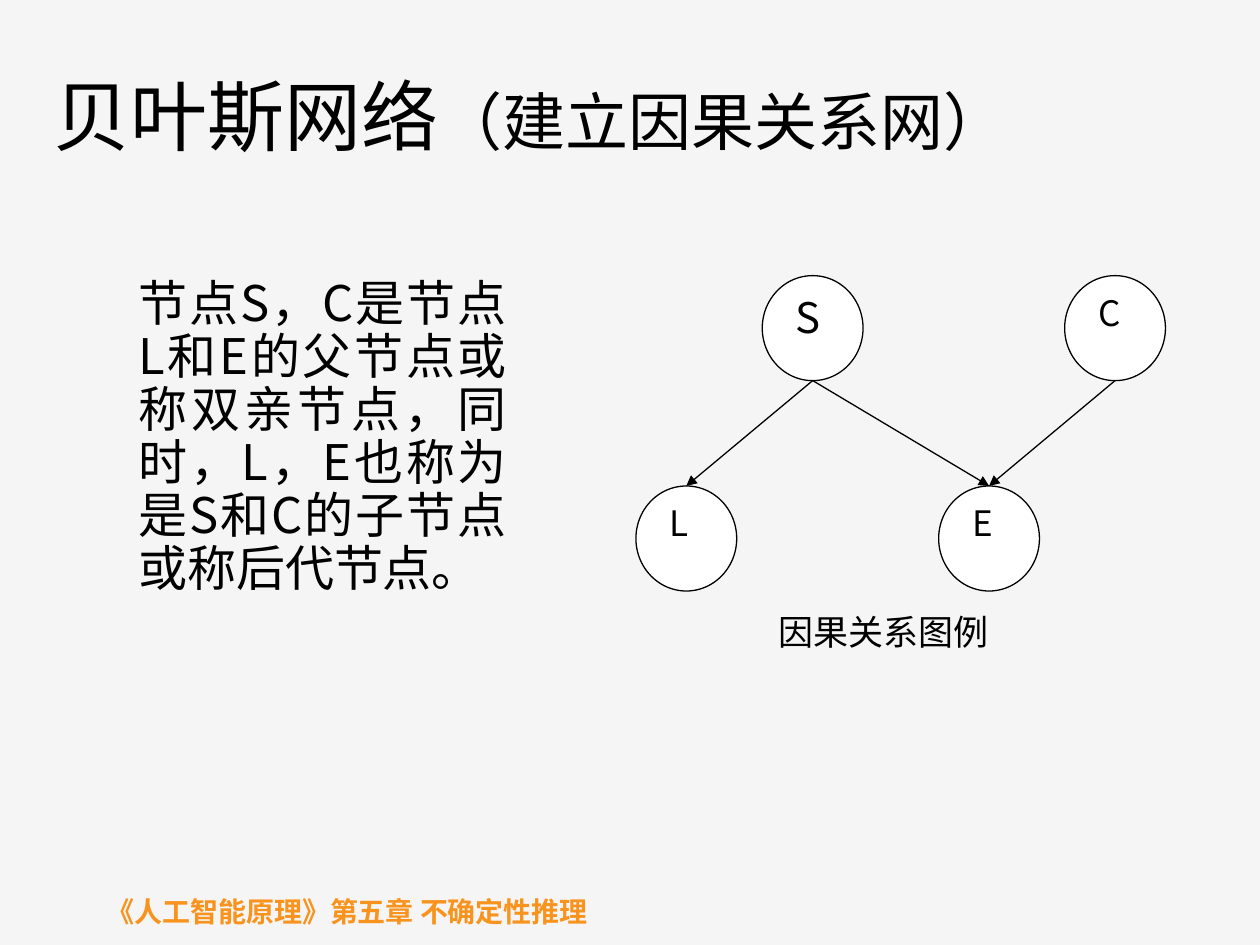
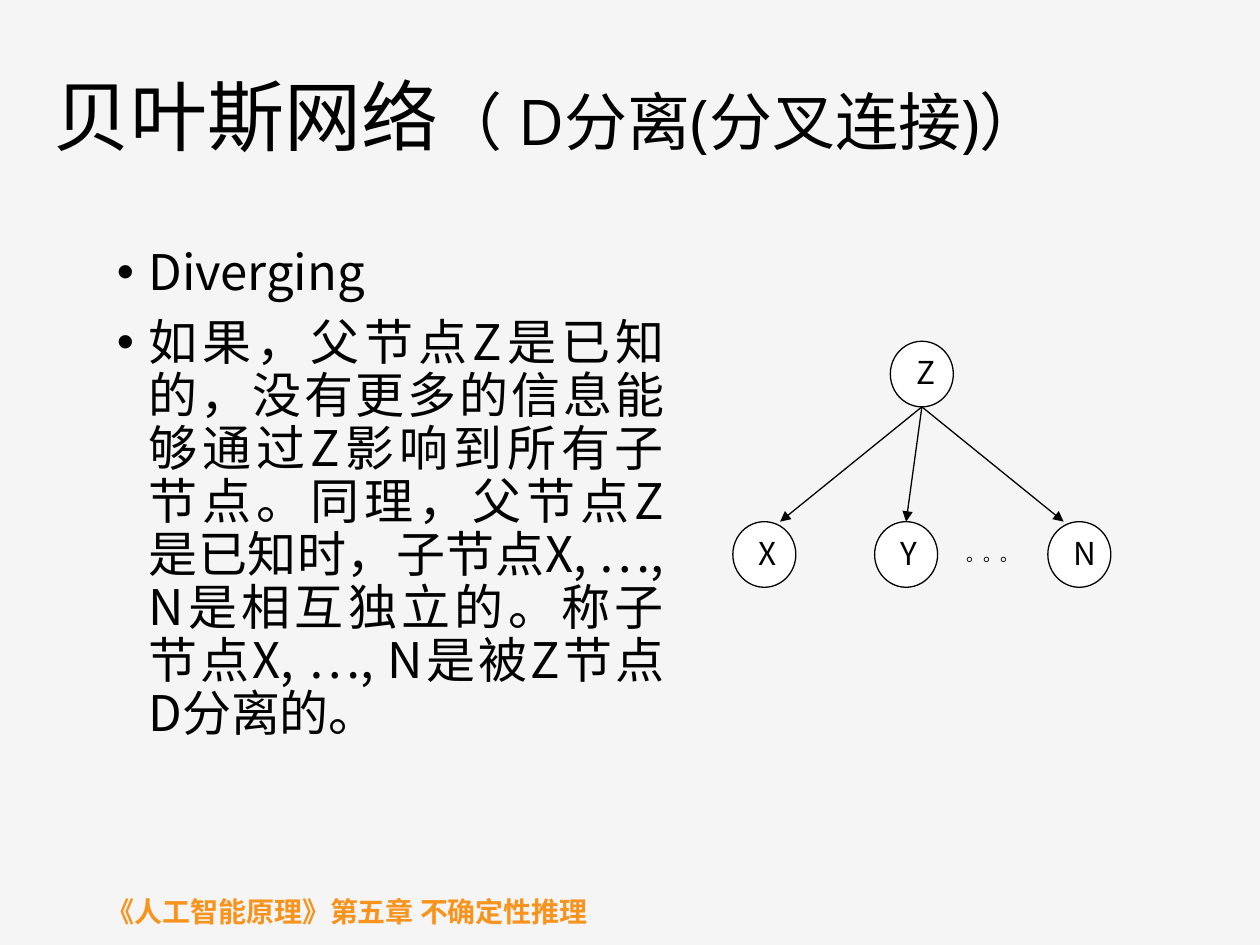
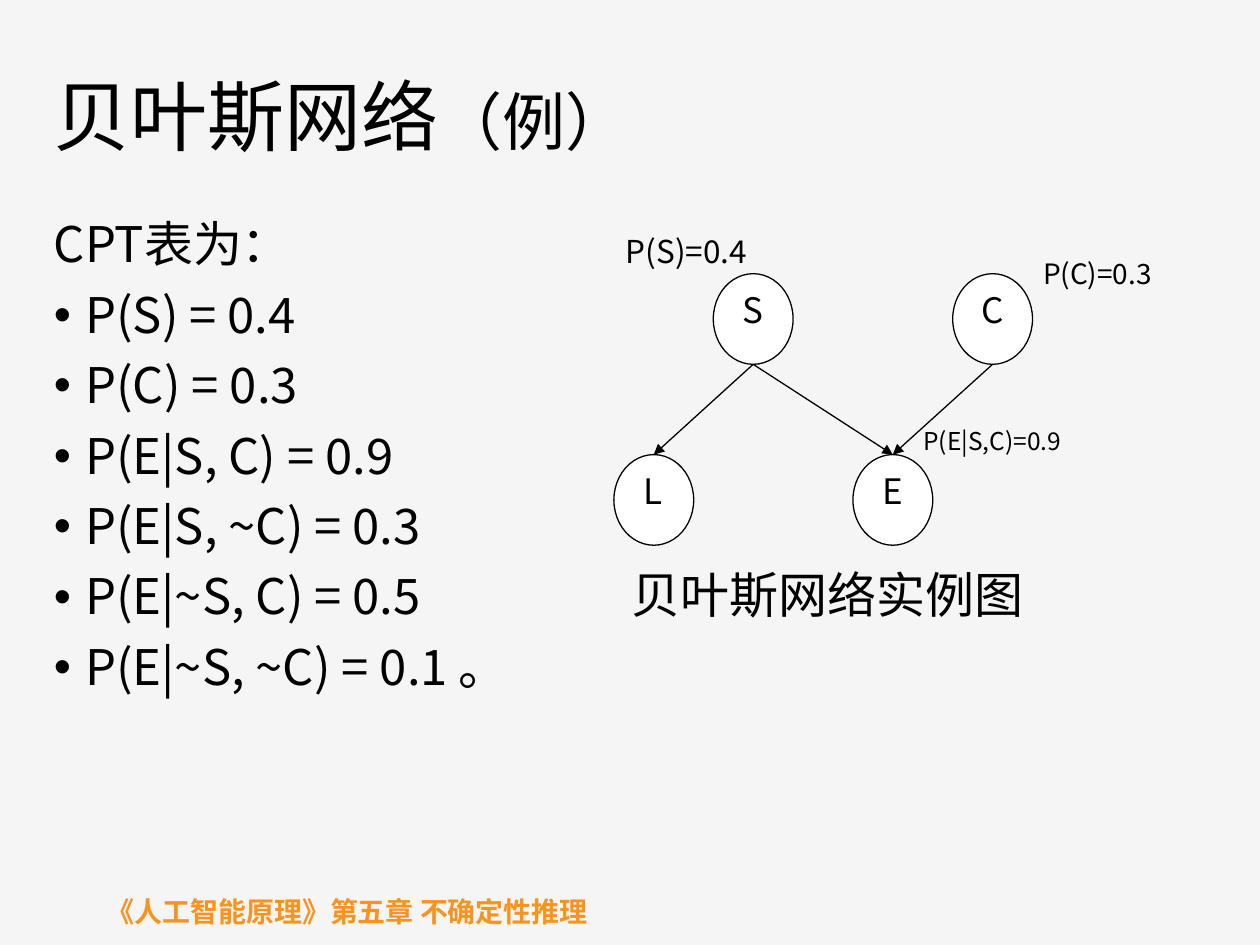
from dataclasses import dataclass
from itertools import groupby

from lxml.etree import SubElement
from pptx import Presentation
from pptx.dml.color import RGBColor
from pptx.enum.shapes import MSO_CONNECTOR, MSO_SHAPE
from pptx.enum.text import MSO_ANCHOR, PP_ALIGN
from pptx.oxml.ns import qn
from pptx.util import Pt


@dataclass(frozen=True)
class Theme:
    """Colours, fonts and type sizes shared by all slides."""
    paper: RGBColor = RGBColor(0xF5, 0xF5, 0xF5)
    ink: RGBColor = RGBColor(0, 0, 0)
    node: RGBColor = RGBColor(0xFF, 0xFF, 0xFF)
    accent: RGBColor = RGBColor(0xF8, 0x93, 0x1D)
    heading: str = "Open Sans"
    chinese: str = "Noto Sans CJK SC"
    latin: str = "Noto Sans CJK JP"
    topic_size: int = 44
    subtopic_size: int = 36
    body_size: int = 28
    large_size: int = 24
    medium_size: int = 20
    label_size: int = 18
    small_size: int = 16
    tiny_size: int = 14
    dots_size: int = 10
    stroke: float = 0.75


class Lecture:
    """Builds slides of one lecture in a shared style."""

    TOPIC = "贝叶斯网络"
    CHAPTER = "《人工智能原理》第五章 不确定性推理"

    def __init__(self, theme):
        """Open an empty 4:3 presentation."""
        self.theme = theme
        self.deck = Presentation()
        self.deck.slide_width, self.deck.slide_height = Pt(720), Pt(540)
        backdrop = self.deck.slide_master.background.fill
        backdrop.solid()
        backdrop.fore_color.rgb = theme.paper
        self.slide = None

    def start(self, subtopic):
        """Add a slide with its footer and title."""
        theme = self.theme
        self.slide = self.deck.slides.add_slide(self.deck.slide_layouts[6])
        footer = self.frame(54, 491.8, 420, 36)
        footer.margin_top, footer.margin_bottom = Pt(20), 0
        self.run(footer.paragraphs[0], self.CHAPTER, theme.small_size,
                 theme.latin, theme.accent, True)
        title = self.frame(23.76, 36, 684, 66.24)
        title.vertical_anchor = MSO_ANCHOR.MIDDLE
        heading = title.paragraphs[0]
        heading.line_spacing = 0.9
        self.run(heading, self.TOPIC, theme.topic_size, theme.heading)
        self.run(heading, subtopic, theme.subtopic_size, theme.heading)

    def frame(self, left, top, width, height):
        """Add a wrapping text box and return its text frame."""
        box = self.slide.shapes.add_textbox(Pt(left), Pt(top), Pt(width), Pt(height))
        box.text_frame.word_wrap = True
        return box.text_frame

    def run(self, paragraph, text, size, face, color=None, bold=False):
        """Add one run in the given style."""
        run = paragraph.add_run()
        run.text = text
        font = run.font
        font.size, font.name, font.bold = Pt(size), face, bold
        font.color.rgb = color or self.theme.ink
        SubElement(run._r.get_or_add_rPr(), qn("a:ea"), typeface=face)

    def body(self, left, top, width, height, items, indent=-18):
        """Add body paragraphs given as (text, bulleted, font or None)."""
        frame = self.frame(left, top, width, height)
        for index, (text, bulleted, face) in enumerate(items):
            paragraph = frame.add_paragraph() if index else frame.paragraphs[0]
            paragraph.alignment = PP_ALIGN.JUSTIFY
            paragraph.line_spacing = 0.9
            paragraph.space_before = Pt(10)
            properties = paragraph._p.get_or_add_pPr()
            properties.set("marL", str(Pt(18)))
            properties.set("indent", str(Pt(indent)))
            if bulleted:
                SubElement(properties, qn("a:buFont"), typeface="Arial")
                SubElement(properties, qn("a:buChar"), char="•")
            scripts = [(face, text)] if face else [
                (self.theme.latin if is_latin else self.theme.chinese, "".join(part))
                for is_latin, part in groupby(text, str.isascii)]
            for script_face, part in scripts:
                self.run(paragraph, part, self.theme.body_size, script_face)

    def label(self, text, left, top, width, height, size):
        """Add a short label of a diagram."""
        paragraph = self.frame(left, top, width, height).paragraphs[0]
        paragraph.alignment = PP_ALIGN.JUSTIFY
        self.run(paragraph, text, size, self.theme.chinese)

    def node(self, letter, left, top, width, height, size):
        """Add a lettered network node and return its ellipse."""
        ellipse = self.slide.shapes.add_shape(
            MSO_SHAPE.OVAL, Pt(left), Pt(top), Pt(width), Pt(height))
        ellipse.shadow.inherit = False
        ellipse.fill.solid()
        ellipse.fill.fore_color.rgb = self.theme.node
        ellipse.line.color.rgb = self.theme.ink
        ellipse.line.width = Pt(self.theme.stroke)
        self.label(letter, left + 0.21 * width, top + 0.09 * height,
                   0.75 * width, 0.75 * height, size)
        return ellipse

    def arrow(self, parent, child, shift=0):
        """Point from a parent's bottom to a child's top, shifted sideways."""
        link = self.slide.shapes.add_connector(
            MSO_CONNECTOR.STRAIGHT,
            parent.left + parent.width // 2, parent.top + parent.height,
            child.left + child.width // 2 + Pt(shift), child.top)
        if not shift:
            link.end_connect(child, 0)
        link.line.color.rgb = self.theme.ink
        link.line.width = Pt(self.theme.stroke)
        properties = link._element.spPr
        SubElement(properties.find(qn("a:ln")), qn("a:tailEnd"), type="triangle")
        SubElement(properties, qn("a:effectLst"))

    def causal_network(self, places, width, height, sizes):
        """Draw the S, C, E, L network from its node corners."""
        nodes = {letter: self.node(letter, *corner, width, height,
                                   sizes.get(letter, self.theme.medium_size))
                 for letter, corner in places.items()}
        for parent, child in ("SL", "SE", "CE"):
            self.arrow(nodes[parent], nodes[child])


def causal_slide(lecture):
    """Show parents and children in a causal network."""
    theme = lecture.theme
    lecture.start("（建立因果关系网）")
    lecture.body(54, 156.24, 242.64, 182.88, [
        ("节点S，C是节点L和E的父节点或称双亲节点，同时，L，E也称为是S和C的子节点或称后代节点。",
         False, None)], indent=0)
    lecture.causal_network(
        {"S": (435.6, 157.5), "C": (608.4, 157.5),
         "E": (536.4, 277.7), "L": (363.4, 277.7)},
        57.6, 60, {"S": theme.large_size})
    lecture.label("因果关系图例", 437.76, 345.6, 174.24, 31, theme.medium_size)


def diverging_slide(lecture):
    """Show D-separation in a diverging connection."""
    theme = lecture.theme
    lecture.start("（ D分离(分叉连接)）")
    lecture.body(59.76, 138.24, 326.88, 324, [
        ("Diverging", True, theme.chinese),
        ("如果，父节点Z是已知的，没有更多的信息能够通过Z影响到所有子节点。"
         "同理，父节点Z是已知时，子节点X, …, N是相互独立的。"
         "称子节点X, …, N是被Z节点D分离的。", True, None)])
    width, height = 36, 37.5
    parent = lecture.node("Z", 508.8, 195, width, height, theme.label_size)
    for letter, left, shift in (("X", 418.8, 9), ("Y", 499.8, 0), ("N", 598.8, -9)):
        child = lecture.node(letter, left, 298.1, width, height, theme.label_size)
        lecture.arrow(parent, child, shift)
    lecture.label("。。。", 545, 307.44, 44.64, 37.44, theme.dots_size)


def example_slide(lecture):
    """Show a network with its conditional probabilities."""
    theme = lecture.theme
    lecture.start("（例）")
    table = ["P(S) = 0.4", "P(C) = 0.3", "P(E|S, C) = 0.9", "P(E|S, ~C) = 0.3",
             "P(E|~S, C) = 0.5", "P(E|~S, ~C) = 0.1 。"]
    lecture.body(23.76, 122.4, 684, 356.4, [
        ("CPT表为：", False, None), *((entry, True, theme.latin) for entry in table)])
    lecture.causal_network(
        {"S": (407.6, 156.4), "C": (544.4, 156.4),
         "E": (487.4, 259.8), "L": (350.8, 259.8)},
        45.6, 51.8, {})
    for text, left, top, width, size in (
            ("P(S)=0.4", 350.64, 128.9, 100.8, theme.label_size),
            ("P(C)=0.3", 589, 143.3, 93.6, theme.small_size),
            ("P(E|S,C)=0.9", 520.56, 239.76, 105.84, theme.tiny_size),
            ("贝叶斯网络实例图", 354, 319.2, 250, theme.body_size)):
        lecture.label(text, left, top, width, 38.9, size)


def main():
    """Build and save the lecture."""
    lecture = Lecture(Theme())
    for build in (causal_slide, diverging_slide, example_slide):
        build(lecture)
    lecture.deck.save("out.pptx")


if __name__ == "__main__":
    main()
